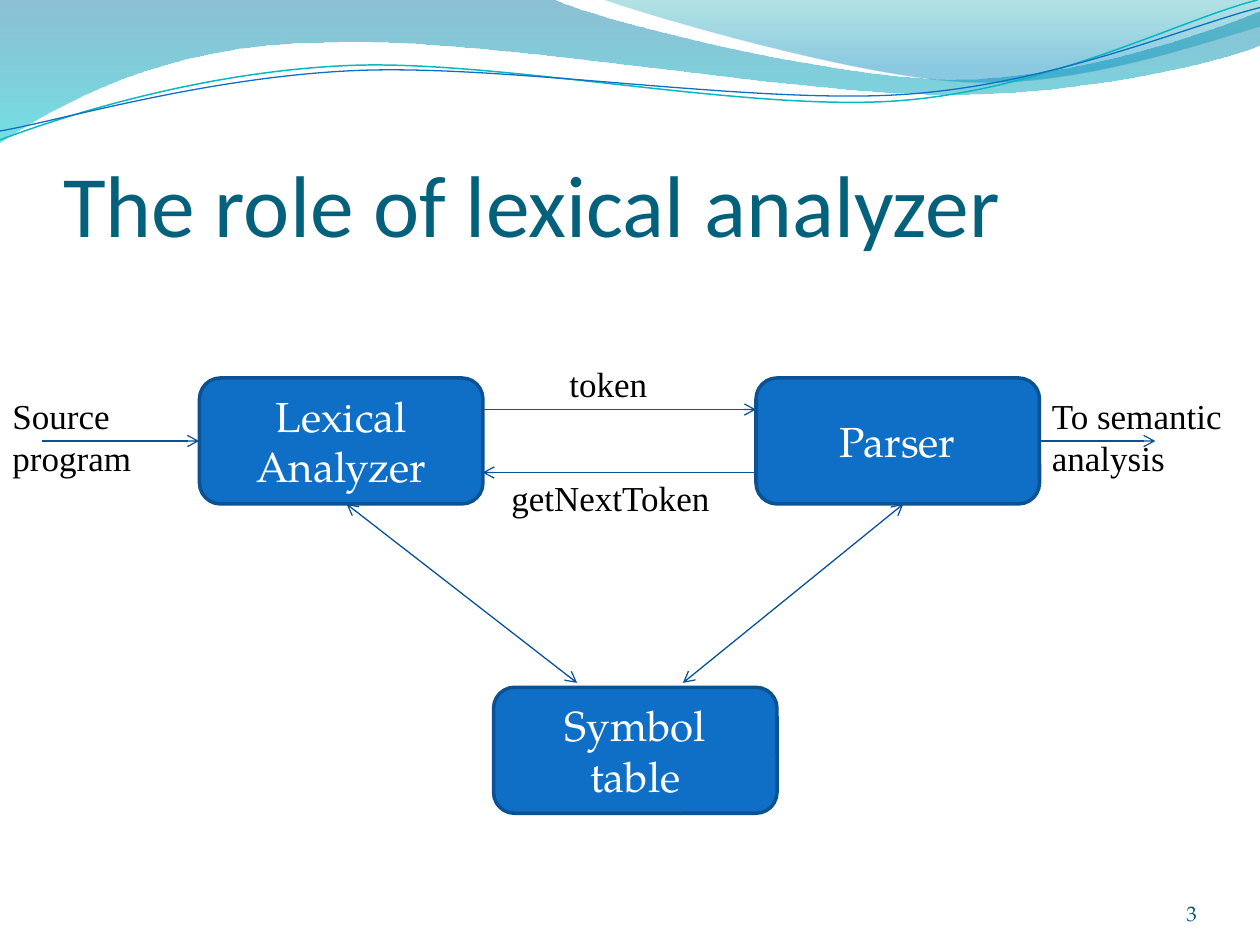
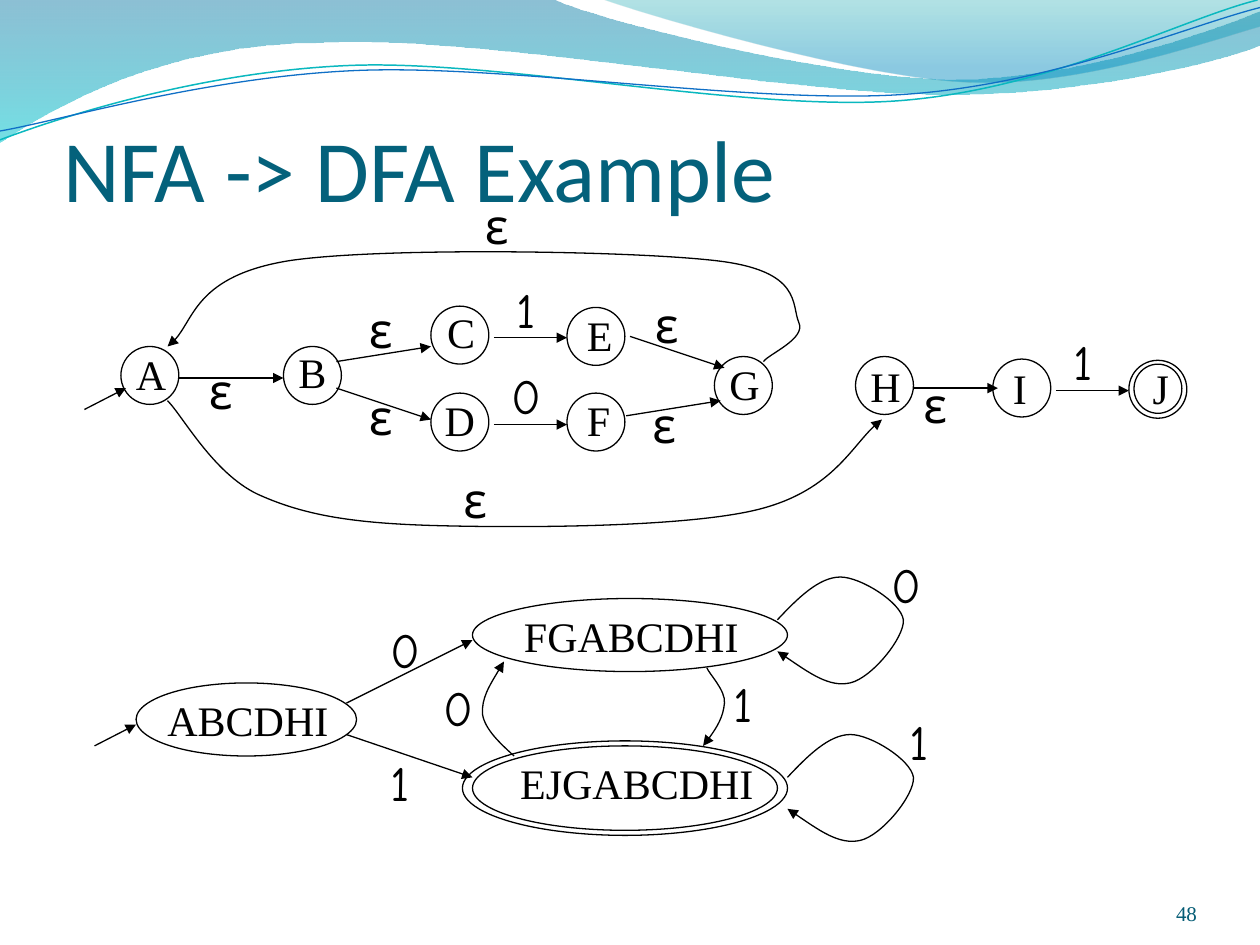
import pptx
import pptx.dml.color
import pptx.enum.shapes
import pptx.enum.text
import pptx.oxml
import pptx.oxml.ns
import pptx.util
from lxml import etree

RGBColor = pptx.dml.color.RGBColor
Align = pptx.enum.text.PP_ALIGN
Anchor = pptx.enum.text.MSO_ANCHOR
AutoSize = pptx.enum.text.MSO_AUTO_SIZE
Shape = pptx.enum.shapes.MSO_SHAPE

BLACK = RGBColor(0x00, 0x00, 0x00)
WHITE = RGBColor(0xFF, 0xFF, 0xFF)
TITLE_TEAL = RGBColor(0x04, 0x61, 0x7B)
NUMBER_TEAL = RGBColor(0x04, 0x5C, 0x75)
BOX_BLUE = RGBColor(0x0F, 0x6F, 0xC6)
BOX_EDGE = RGBColor(0x0B, 0x52, 0x92)
ARROW_BLUE = RGBColor(0x09, 0x52, 0x95)
WAVE_CYAN = RGBColor(0x0A, 0xB8, 0xBF)
# Gradient stops: position, colour, opacity in percent
BACK_STOPS = [(0, RGBColor(0x00, 0x74, 0xA1), 45), (1, RGBColor(0x00, 0xC6, 0xCF), 55)]
FRONT_STOPS = [(0, RGBColor(0x00, 0xA1, 0xA9), 30), (0.8, RGBColor(0x00, 0x8B, 0xBF), 45)]

TITLE_FONT = "Calibri"
BOX_FONT = "TeX Gyre Pagella"
PLAIN_FONT = "Times New Roman"
SYMBOL_FONT = "Comic Neue"

COLUMNS, ROWS = 100, 75
CURVE_STEPS = 24
SYMBOL_WIDTHS = {"ε": 3.7, "0": 4.4, "1": 3.8}


def write_text(frame, text, size, font, colour=BLACK, align=Align.LEFT,
               anchor=Anchor.TOP, insets=(0.1, 0.05, 0.1, 0.05)):
    """Fill a text frame, one paragraph for each line of the text."""
    frame.vertical_anchor = anchor
    (frame.margin_left, frame.margin_top,
     frame.margin_right, frame.margin_bottom) = map(pptx.util.Inches, insets)
    frame.text = text
    for para in frame.paragraphs:
        para.alignment = align
        for span in para.runs:
            span.font.size = pptx.util.Pt(size)
            span.font.name = font
            span.font.color.rgb = colour


def trace(start, segments):
    """Points along straight (x, y) and cubic (x1, y1, x2, y2, x, y) segments."""
    points = [start]
    for segment in segments:
        if len(segment) == 2:
            points.append(segment)
            continue
        knots = [points[-1], segment[:2], segment[2:4], segment[4:]]
        for step in range(1, CURVE_STEPS + 1):
            t = step / CURVE_STEPS
            weights = [(1 - t) ** 3, 3 * t * (1 - t) ** 2, 3 * t * t * (1 - t), t ** 3]
            points.append(tuple(sum(weight * knot[axis] for weight, knot in zip(weights, knots))
                                for axis in (0, 1)))
    return points


class Builder:
    """Deck style and current page; lengths are columns and rows of the grid."""

    def __init__(self):
        self.deck = pptx.Presentation()
        self.deck.slide_width = pptx.util.Inches(10)
        self.deck.slide_height = pptx.util.Inches(7.5)
        self.layout = self.deck.slide_layouts[5]
        self.page = None

    def x(self, columns):
        return pptx.util.Emu(round(columns * self.deck.slide_width / COLUMNS))

    def y(self, rows):
        return pptx.util.Emu(round(rows * self.deck.slide_height / ROWS))

    def area(self, left, top, width, height):
        return self.x(left), self.y(top), self.x(width), self.y(height)

    def new_page(self, title, title_top, number, number_font):
        self.page = self.deck.slides.add_slide(self.layout)
        if len(self.deck.slides) == 1:
            self.share_waves()
        holder = self.page.shapes.title
        holder.left, holder.top, holder.width, holder.height = self.area(5, title_top, 90, 12.5)
        holder.text_frame.auto_size = AutoSize.NONE
        write_text(holder.text_frame, title, 50, TITLE_FONT, TITLE_TEAL,
                   anchor=Anchor.BOTTOM, insets=(0, 0.05, 0, 0))
        footer = self.page.shapes.add_textbox(*self.area(86.7, 69.5, 8.3, 4))
        footer.text_frame.word_wrap = True
        write_text(footer.text_frame, number, 12, number_font, NUMBER_TEAL,
                   align=Align.RIGHT, anchor=Anchor.BOTTOM, insets=(0, 0, 0, 0))

    def share_waves(self):
        """Draw two translucent bands and two thin lines, then move them to the layout."""
        self.band((0, 0), [(44, 0), (47.6, 1.7, 66.4, 6.3, 75.8, 6.3),
                           (85.3, 6.3, 95.8, 2.6, 100, 0.9), (100, 3.6),
                           (98.3, 4.4, 87, 7.6, 74.6, 7.5), (62.2, 7.5, 38.2, 2.8, 25.7, 3.4),
                           (12.9, 3.5, 4.6, 8.3, 0, 11.3)], BACK_STOPS)
        self.band((47.9, 0), [(50.9, 1.1, 68.2, 6.2, 76.9, 6.5),
                              (85.6, 6.9, 96.1, 3.2, 100, 2.1), (100, 0)], FRONT_STOPS)
        self.curve((0, 11.1), [(4.8, 9.3, 15.8, 5.7, 27.7, 5.2), (39.5, 4.7, 59.3, 8.9, 71.3, 8),
                               (83.3, 7.1, 93.8, 1.5, 99.8, 0)], WAVE_CYAN, 0.85, tail=None)
        self.curve((0, 10.4), [(4.7, 9.6, 16.4, 6.1, 28.3, 5.6), (40.3, 5.1, 59.7, 8.3, 71.7, 7.5),
                               (83.6, 6.7, 94.1, 2.1, 100, 0.6)], BOX_BLUE, 0.75, tail=None)
        waves = [shape for shape in self.page.shapes if not shape.is_placeholder]
        for order, wave in enumerate(waves):
            wave.element.nvSpPr.cNvPr.set("id", str(101 + order))
            self.layout.shapes.element.insert(2 + order, wave.element)

    def outline(self, start, segments, close):
        """A freeform sized by its traced extent and drawn with true curves."""
        points = [(self.x(column), self.y(row)) for column, row in trace(start, segments)]
        pen = self.page.shapes.build_freeform(*points[0])
        pen.add_line_segments(points[1:], close=close)
        shape = pen.convert_to_shape()
        shape.shadow.inherit = False
        drawing = shape.element.spPr.xpath(".//a:path")[0]
        for command in drawing.xpath("a:lnTo | a:close"):
            drawing.remove(command)
        for segment in segments:
            tag = "a:lnTo" if len(segment) == 2 else "a:cubicBezTo"
            command = etree.SubElement(drawing, pptx.oxml.ns.qn(tag))
            for column, row in zip(segment[::2], segment[1::2]):
                etree.SubElement(command, pptx.oxml.ns.qn("a:pt"),
                                 x=str(self.x(column) - shape.left),
                                 y=str(self.y(row) - shape.top))
        if close:
            etree.SubElement(drawing, pptx.oxml.ns.qn("a:close"))
        return shape

    def band(self, start, segments, stops):
        shape = self.outline(start, segments, close=True)
        shape.line.fill.background()
        shape.fill.gradient()
        shape.fill.gradient_angle = 270
        for stop, (position, colour, _) in zip(shape.fill.gradient_stops, stops):
            stop.position = position
            stop.color.rgb = colour
        for node, (_, _, opacity) in zip(shape.element.spPr.xpath(".//a:srgbClr"), stops):
            etree.SubElement(node, pptx.oxml.ns.qn("a:alpha"), val=str(opacity * 1000))

    def stroke(self, shape, colour, width, head=None, tail=None):
        shape.line.color.rgb = colour
        shape.line.width = pptx.util.Pt(width)
        outline = shape.element.spPr.get_or_add_ln()
        for tag, kind in (("a:headEnd", head), ("a:tailEnd", tail)):
            if kind:
                etree.SubElement(outline, pptx.oxml.ns.qn(tag), type=kind)

    def curve(self, start, segments, colour=BLACK, width=0.75, tail="triangle"):
        shape = self.outline(start, segments, close=False)
        shape.fill.background()
        self.stroke(shape, colour, width, tail=tail)

    def arrow(self, x1, y1, x2, y2, colour=BLACK, head=None, tail="triangle"):
        link = self.page.shapes.add_connector(
            pptx.enum.shapes.MSO_CONNECTOR.STRAIGHT,
            self.x(x1), self.y(y1), self.x(x2), self.y(y2))
        self.stroke(link, colour, 0.75, head, tail)
        etree.SubElement(link.element.spPr, pptx.oxml.ns.qn("a:effectLst"))

    def box(self, text, left, top):
        box = self.page.shapes.add_shape(Shape.ROUNDED_RECTANGLE, *self.area(left, top, 22.5, 10))
        box.shadow.inherit = False
        box.fill.solid()
        box.fill.fore_color.rgb = BOX_BLUE
        self.stroke(box, BOX_EDGE, 2)
        write_text(box.text_frame, text, 24, BOX_FONT, WHITE,
                   align=Align.CENTER, anchor=Anchor.MIDDLE)

    def ellipse(self, left, top, width, height):
        ring = self.page.shapes.add_shape(Shape.OVAL, *self.area(left, top, width, height))
        ring.shadow.inherit = False
        ring.fill.background()
        self.stroke(ring, BLACK, 0.75)

    def label(self, text, left, top, width, height=5, size=24, font=PLAIN_FONT):
        label = self.page.shapes.add_textbox(*self.area(left, top, width, height))
        label.text_frame.word_wrap = False
        label.text_frame.auto_size = AutoSize.SHAPE_TO_FIT_TEXT
        write_text(label.text_frame, text, size, font)

    def symbol(self, text, left, top):
        self.label(text, left, top, SYMBOL_WIDTHS[text], 5.7, 28, SYMBOL_FONT)


def build_role_page(builder):
    builder.new_page("The role of lexical analyzer", 7.75, "3", BOX_FONT)

    # Components
    for text, left, top in [("Lexical Analyzer", 15.83, 30), ("Parser", 60, 30),
                            ("Symbol\ntable", 39.17, 54.55)]:
        builder.box(text, left, top)

    # Data flow, one way and both ways
    for ends in [(3.3, 35, 15.8, 35), (38.3, 32.5, 60, 32.5),
                 (60, 37.5, 38.3, 37.5), (82.5, 35, 91.7, 35)]:
        builder.arrow(*ends, ARROW_BLUE, tail="arrow")
    for ends in [(27.5, 40, 45.8, 54.2), (71.7, 40, 54.2, 54.2)]:
        builder.arrow(*ends, ARROW_BLUE, head="arrow", tail="arrow")

    # Flow labels
    for text, *place in [("Source\nprogram", 0, 30.8, 11.5, 7.7), ("token", 44.2, 28.3, 8.2, 4.4),
                         ("getNextToken", 39.6, 37.3, 17.9, 4.4),
                         ("To semantic\nanalysis", 82.5, 30.8, 15.6, 7.7)]:
        builder.label(text, *place, size=20)


def build_example_page(builder):
    builder.new_page("NFA -> DFA Example", 5, "48", PLAIN_FONT)

    # NFA states: name, ring corner, label corner and width
    for name, left, top, *place in [
            ("A", 9.6, 27.5, 9.8, 27.2, 4.4), ("B", 22.5, 27.5, 22.7, 27, 4.2),
            ("C", 34.2, 24.3, 34.5, 23.8, 4.2), ("D", 34.2, 31.2, 34.3, 30.8, 4.4),
            ("E", 45, 24.4, 45.6, 24.1, 4), ("F", 45, 31.2, 45.6, 30.8, 3.9),
            ("G", 56.7, 28.3, 56.9, 28, 4.4), ("H", 67.9, 28.3, 68.1, 28.1, 4.4),
            ("I", 78.8, 28.5, 79.4, 28.3, 3.1), ("J", 89.6, 28.6, 90.5, 28.3, 3.3)]:
        builder.ellipse(left, top, 4.6, 4.6)
        builder.label(name, *place)
    builder.ellipse(90, 28.9, 3.8, 3.9)

    # NFA moves
    for ends in [(6.7, 32.5, 10, 30.8), (14.2, 30, 22.5, 30), (26.7, 28.7, 34.2, 27.5),
                 (26.7, 30.8, 34.2, 33.3), (39.2, 26.8, 45, 26.8), (39.2, 33.7, 45, 33.7),
                 (50, 26.7, 57.5, 29.2), (49.7, 33, 57.2, 31.8), (72.5, 30.8, 79.2, 30.8),
                 (83.8, 31, 89.6, 31)]:
        builder.arrow(*ends)
    builder.curve((13.3, 31.8), [(14.5, 33, 16.9, 37.5, 20.4, 39.2),
                                 (23.9, 40.8, 27.6, 41.5, 34.2, 41.7),
                                 (40.7, 41.9, 53.9, 41.9, 59.9, 40.5),
                                 (65.9, 39.1, 67.9, 34.8, 70, 33.3)])
    builder.curve((60.6, 28.7), [(61, 28.1, 64, 26.9, 63.4, 25.6),
                                 (62.8, 24.2, 63.7, 21.5, 56.9, 20.7),
                                 (50.2, 19.9, 30.1, 19.6, 22.9, 20.7),
                                 (15.6, 21.9, 15.3, 26.1, 13.3, 27.5)])

    # DFA states: name, ring, label corner and width
    for name, ring, place in [
            ("ABCDHI", (10.8, 54.2, 17.5, 5.8), (12.3, 54.6, 14.8)),
            ("FGABCDHI", (37.5, 47.5, 25, 5.8), (40.6, 48, 19.2)),
            ("EJGABCDHI", (37.5, 59.2, 24.2, 6.7), (40.3, 59.6, 20.5))]:
        builder.ellipse(*ring)
        builder.label(name, *place)
    builder.ellipse(36.7, 58.8, 25.8, 7.5)

    # DFA moves, with the same loop on both right-hand states
    for ends in [(7.5, 59.2, 10.8, 57.5), (27.5, 55.8, 37.5, 50.8), (27.5, 58.3, 37.5, 61.7)]:
        builder.arrow(*ends)
    for x, y in [(61.7, 49.2), (62.5, 61.7)]:
        builder.curve((x, y), [(x + 1.6, y - 1.7, x + 3.3, y - 3.4, x + 5, y - 3.4),
                               (x + 6.6, y - 3.4, x + 9.8, y - 1.4, x + 10, y),
                               (x + 10.1, y + 1.4, x + 7.5, y + 4.6, x + 5.8, y + 5),
                               (x + 4.1, y + 5.4, x + 2.1, y + 3.9, x, y + 2.5)])
    builder.curve((40.8, 60), [(39.7, 59, 38.5, 57.9, 38.3, 56.7), (38.2, 55.4, 39.1, 54, 40, 52.5)])
    builder.curve((56.1, 53), [(56.3, 53.5, 57.6, 54.8, 57.5, 55.8),
                               (57.4, 56.9, 56.7, 58.1, 55.8, 59.2)])

    # Input symbols on the moves
    for text, places in {
            "ε": [(15.6, 28.1), (72.3, 29.2), (28.3, 23.3), (50.8, 30.8), (51, 22.9),
                  (28.3, 30.2), (35.8, 36.8), (37.5, 15)],
            "0": [(39.6, 28.5), (30, 48.7), (69.8, 43.5), (34.2, 53.3)],
            "1": [(40, 21.7), (84.2, 25.8), (30, 59.2), (71.2, 56), (57.2, 53)]}.items():
        for left, top in places:
            builder.symbol(text, left, top)


def main():
    builder = Builder()
    build_role_page(builder)
    build_example_page(builder)
    builder.deck.save("out.pptx")


if __name__ == "__main__":
    main()
